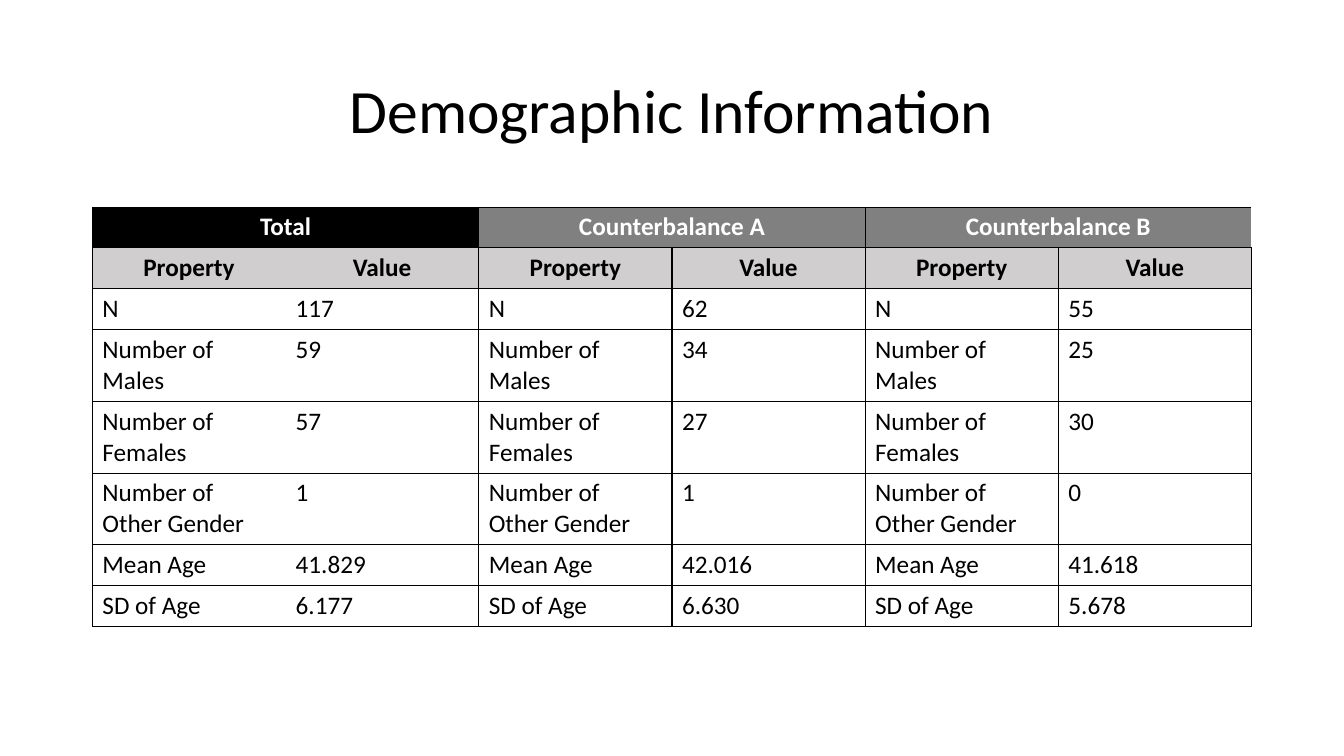
import pptx
import pptx.dml.color
import pptx.enum.text
import pptx.oxml
import pptx.oxml.ns
import pptx.util
from pptx.util import Pt

COLORS = {
    "black": "000000",
    "white": "FFFFFF",
    "group": "808080",
    "subheader": "D0CECE",
}
FONT = "Calibri"
CENTER = pptx.enum.text.PP_ALIGN.CENTER
LEFT = pptx.enum.text.PP_ALIGN.LEFT

PROPERTIES = ["N", "Number of Males", "Number of Females",
              "Number of Other Gender", "Mean Age", "SD of Age"]
# Group heading, heading fill, values in the order of PROPERTIES
GROUPS = [
    ("Total", "black", ["117", "59", "57", "1", "41.829", "6.177"]),
    ("Counterbalance A", "group", ["62", "34", "27", "1", "42.016", "6.630"]),
    ("Counterbalance B", "group", ["55", "25", "30", "0", "41.618", "5.678"]),
]
SINGLE_ROW, DOUBLE_ROW = 29.2, 51.2
ROW_HEIGHTS = [SINGLE_ROW] * 3 + [DOUBLE_ROW] * 3 + [SINGLE_ROW] * 2
THIN, THICK = 0.5, 1


def rgb(name):
    return pptx.dml.color.RGBColor.from_string(COLORS[name])


def format_paragraph(paragraph, size, color, alignment, bold=False):
    paragraph.alignment = alignment
    for run in paragraph.runs:
        run.font.name = FONT
        run.font.size = Pt(size)
        run.font.bold = bold
        run.font.color.rgb = rgb(color)


def add_title(slide, text, left, top, width, height):
    shape = slide.shapes.add_textbox(Pt(left), Pt(top), Pt(width), Pt(height))
    text_frame = shape.text_frame
    text_frame.word_wrap = True
    text_frame.vertical_anchor = pptx.enum.text.MSO_ANCHOR.MIDDLE
    text_frame.text = text
    paragraph = text_frame.paragraphs[0]
    paragraph.line_spacing = 0.9
    format_paragraph(paragraph, 44, "black", CENTER)


def set_border(cell, side, width):
    """Draw one side (L, R, T or B) of a cell; zero width means no line."""
    if width:
        line = f'<a:solidFill><a:srgbClr val="{COLORS["black"]}"/></a:solidFill>'
    else:
        line = "<a:noFill/>"
    namespace = pptx.oxml.ns.nsdecls("a")
    cell._tc.get_or_add_tcPr().append(pptx.oxml.parse_xml(
        f'<a:ln{side} {namespace} w="{int(Pt(width))}">{line}</a:ln{side}>'))


def vertical_line_width(row, edge):
    """Width of the line at a column edge, counted from the left."""
    if edge in (0, 2 * len(GROUPS)):
        return THIN
    if edge % 2 == 0:
        return THICK
    # Headings span their group, and Total has no inner line
    return 0 if row == 0 or edge == 1 else THICK if edge == 3 else THIN


def style_cell(cell, row, column, text, fill, color, header):
    set_border(cell, "L", vertical_line_width(row, column))
    set_border(cell, "R", vertical_line_width(row, column + 1))
    set_border(cell, "T", THIN)
    set_border(cell, "B", THIN)
    cell.fill.solid()
    cell.fill.fore_color.rgb = rgb(fill)
    cell.text_frame.text = text
    format_paragraph(cell.text_frame.paragraphs[0], 18, color,
                     CENTER if header else LEFT, header)


def add_demographics(slide, left, top, width):
    column_count = 2 * len(GROUPS)
    table = slide.shapes.add_table(
        len(ROW_HEIGHTS), column_count, Pt(left), Pt(top),
        Pt(width), Pt(sum(ROW_HEIGHTS))).table
    table.first_row = False
    table.horz_banding = False
    for column in table.columns:
        column.width = Pt(width / column_count)
    for row, height in zip(table.rows, ROW_HEIGHTS):
        row.height = Pt(height)

    for group, (heading, heading_fill, values) in enumerate(GROUPS):
        first = 2 * group
        table.cell(0, first).merge(table.cell(0, first + 1))
        rows = [(heading, ""), ("Property", "Value"), *zip(PROPERTIES, values)]
        for row, texts in enumerate(rows):
            fill = (heading_fill, "subheader")[row] if row < 2 else "white"
            color = "white" if row == 0 else "black"
            for column, text in enumerate(texts, first):
                style_cell(table.cell(row, column), row, column, text,
                           fill, color, header=row < 2)


def main():
    presentation = pptx.Presentation()
    presentation.slide_width = Pt(960)
    presentation.slide_height = Pt(540)
    slide = presentation.slides.add_slide(presentation.slide_layouts[6])
    # Title
    add_title(slide, "Demographic Information", 66, 28.8, 828, 104.4)
    # Table
    add_demographics(slide, 66, 147.8, 828)
    presentation.save("out.pptx")


if __name__ == "__main__":
    main()
